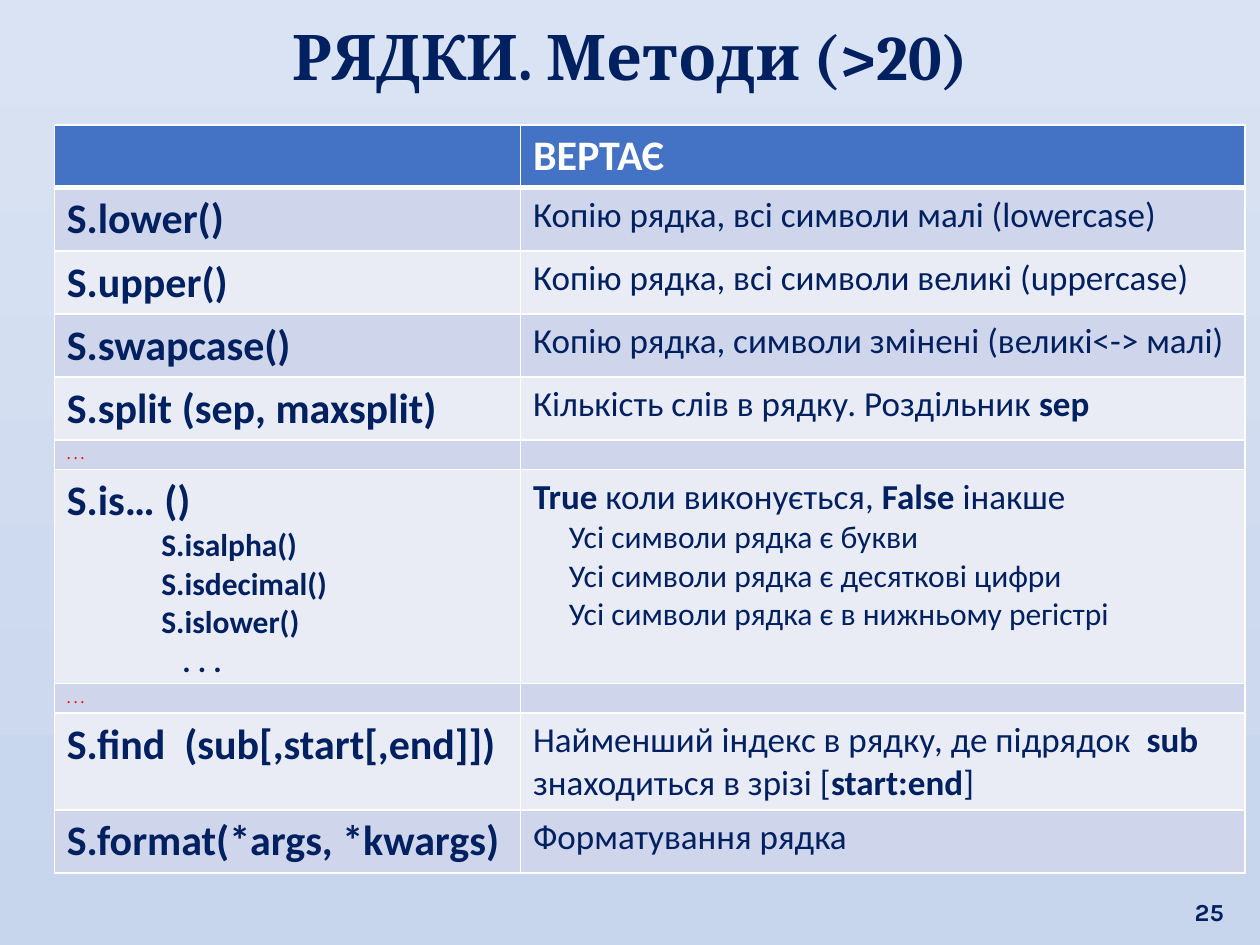
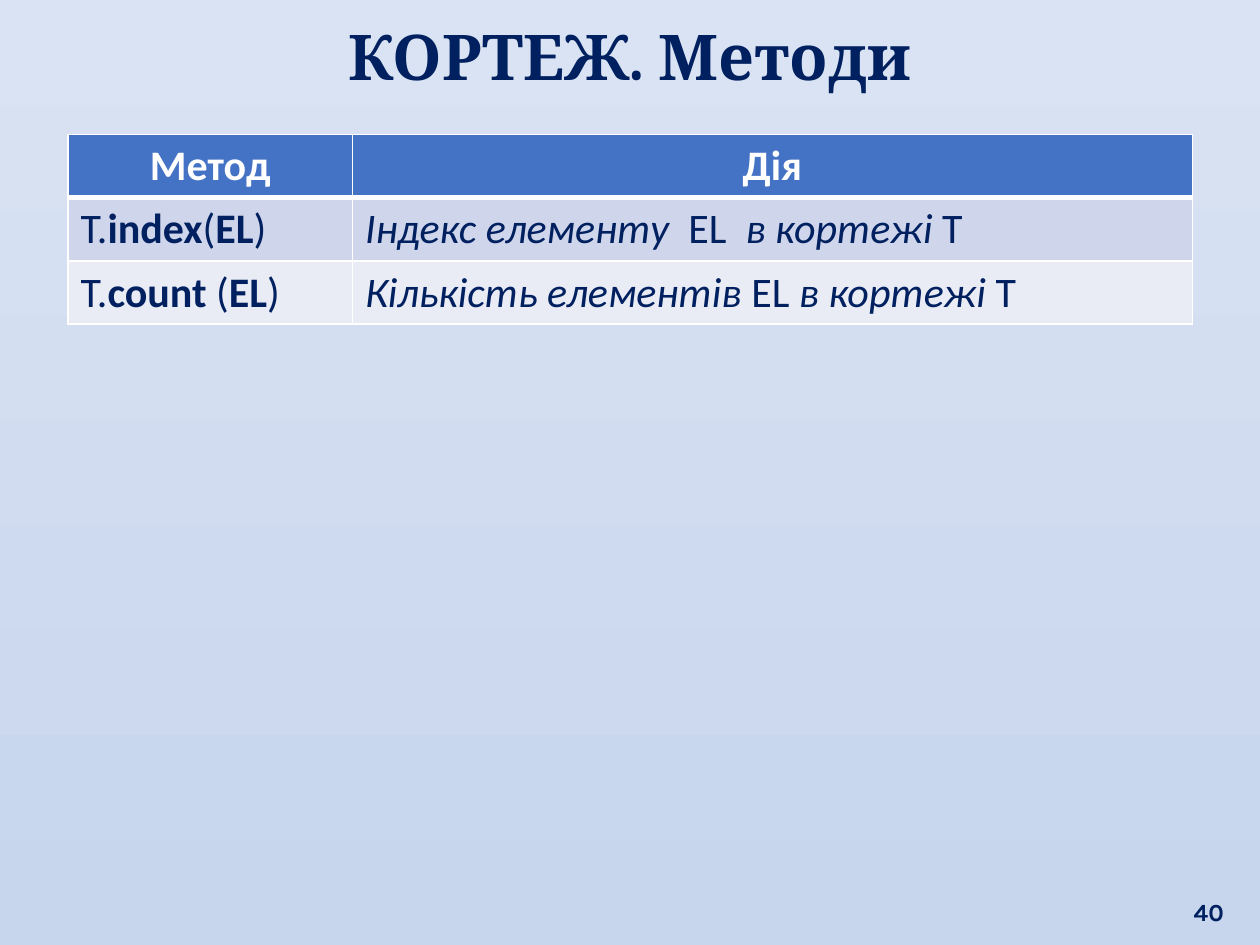
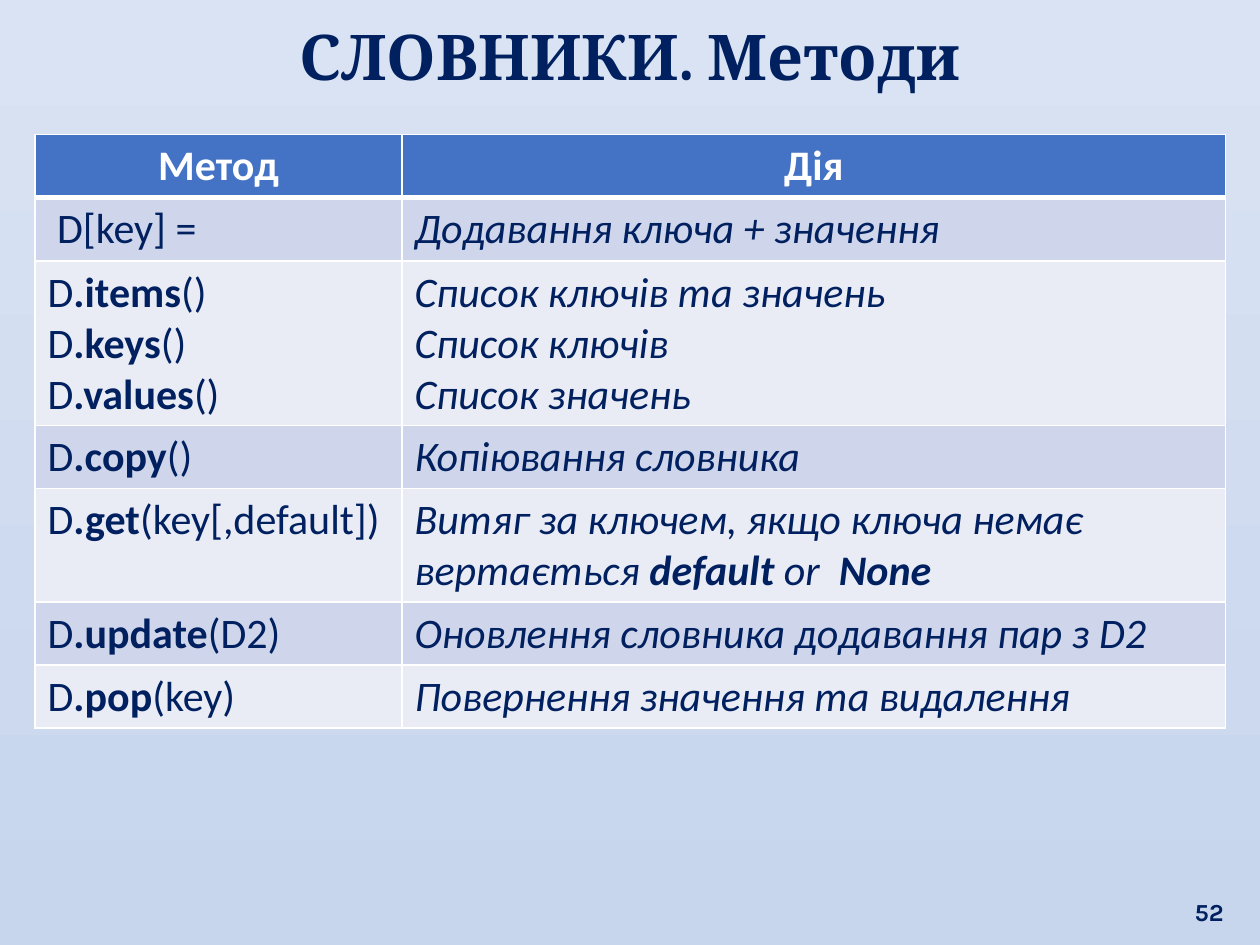
from dataclasses import dataclass
from itertools import zip_longest

from lxml.etree import SubElement
from pptx import Presentation
from pptx.dml.color import RGBColor
from pptx.enum.text import MSO_ANCHOR, MSO_AUTO_SIZE, PP_ALIGN
from pptx.oxml.ns import qn
from pptx.presentation import Presentation as PresentationType
from pptx.slide import Slide
from pptx.table import _Cell as Cell
from pptx.util import Pt

NAVY = RGBColor(0x00, 0x20, 0x60)
WHITE = RGBColor(0xFF, 0xFF, 0xFF)
RED = RGBColor(0xFF, 0x00, 0x00)
HEADER_BLUE = RGBColor(0x44, 0x72, 0xC4)
BAND_DARK = RGBColor(0xCF, 0xD5, 0xEA)
BAND_LIGHT = RGBColor(0xE9, 0xEB, 0xF5)
SKY_TOP = RGBColor(0xDA, 0xE3, 0xF3)
SKY_BOTTOM = RGBColor(0xC7, 0xD5, 0xED)

TITLE_FONT = "Cambria"
TABLE_FONT = "Calibri"
NUMBER_FONT = "Karla"
TITLE_ONLY_LAYOUT = 5
BORDER_SIDES = ("L", "R", "T", "B")


@dataclass(frozen=True)
class Line:
    """One paragraph; each "|" in the text switches the attribute named by `toggles`."""

    text: str
    size: float = 24
    bold: bool = False
    italic: bool = False
    toggles: str = "bold"
    color: RGBColor = NAVY
    indent: float = 0
    align: PP_ALIGN = PP_ALIGN.LEFT


@dataclass(frozen=True)
class Row:
    method: list[Line]
    action: list[Line]
    height: float = 36


@dataclass(frozen=True)
class MethodSlide:
    title: str
    number: int
    left: float
    top: float
    column_widths: tuple[float, float]
    rows: list[Row]


def header(text: str, align: PP_ALIGN = PP_ALIGN.CENTER) -> list[Line]:
    return [Line(text, bold=True, color=WHITE, align=align)]


def string_row(method: str, action: str, height: float = 36) -> Row:
    return Row([Line(method, bold=True)], [Line(action, 20)], height)


def plain_row(method: str, action: str, toggles: str = "bold", height: float = 36) -> Row:
    """Row with upright methods and italic actions, one paragraph per text line."""
    return Row(
        [Line(text) for text in method.split("\n")],
        [Line(text, italic=True, toggles=toggles) for text in action.split("\n")],
        height,
    )


OMITTED = Row([Line(". . .", 8, bold=True, color=RED)], [Line("", 8)], 16.5)
METHOD_HEADER = Row(header("Метод"), header("Дія"))

STRING_CHECKS = Row(
    [Line("S.is… ()", bold=True)]
    + [Line(text, 18, bold=True, indent=54)
       for text in ("S.isalpha()", "S.isdecimal()", "S.islower()")]
    + [Line(". . .", 18, bold=True, indent=66)],
    [Line("|True |коли виконується, |False| інакше", 20)]
    + [Line(f"Усі символи рядка є {kind}", 18, indent=20.5)
       for kind in ("букви", "десяткові цифри", "в нижньому регістрі")],
    122,
)

SLIDES = [
    MethodSlide("РЯДКИ. Методи (>20)", 25, 31, 71.3, (266.4, 414), [
        Row(header(""), header("ВЕРТАЄ", PP_ALIGN.LEFT)),
        string_row("S.lower()", "Копію рядка, всі символи малі (lowercase)"),
        string_row("S.upper()", "Копію рядка, всі символи великі (uppercase)"),
        string_row("S.swapcase()", "Копію рядка, символи змінені (великі<-> малі)"),
        string_row("S.split (sep, maxsplit)", "Кількість слів в рядку. Роздільник |sep"),
        OMITTED,
        STRING_CHECKS,
        OMITTED,
        string_row("S.find  (sub[,start[,end]])",
                   "Найменший індекс в рядку, де підрядок  |sub |"
                   "знаходиться в зрізі [|start:end|]", 55),
        string_row("S.format(*args, *kwargs)", "Форматування рядка"),
    ]),
    MethodSlide("КОРТЕЖ. Методи", 40, 38.9, 77, (162.5, 480), [
        METHOD_HEADER,
        plain_row("T.|index|(|EL|)", "Індекс елементу  |EL | в кортежі |T", "italic"),
        plain_row("T.|count |(|EL|)", "Кількість елементів |EL| в кортежі |T", "italic"),
    ]),
    MethodSlide("СЛОВНИКИ. Методи", 52, 20, 77, (209.7, 470.7), [
        METHOD_HEADER,
        plain_row(" D[key] =", "Додавання ключа + значення"),
        plain_row("D|.items|()\nD|.keys|()\nD|.values|()",
                  "Список ключів та значень\nСписок ключів\nСписок значень", height=94),
        plain_row("D|.copy|()", "Копіювання словника"),
        plain_row("D|.get|(key[,default])",
                  "Витяг за ключем, якщо ключа немає вертається |default| or  |None", height=65),
        plain_row("D|.update|(D2)", "Оновлення словника додавання пар з D2"),
        plain_row("D|.pop|(key)", "Повернення значення та видалення"),
    ]),
]


def paint_background(presentation: PresentationType) -> None:
    fill = presentation.slide_master.background.fill
    fill.gradient()
    fill.gradient_angle = 270
    for stop, color in zip(fill.gradient_stops, (SKY_TOP, SKY_BOTTOM)):
        stop.color.rgb = color


def add_title(slide: Slide, text: str) -> None:
    title = slide.shapes.title
    title.left, title.top, title.width, title.height = Pt(8.6), Pt(5.8), Pt(702.8), Pt(51)
    frame = title.text_frame
    frame.text = text
    frame.auto_size = MSO_AUTO_SIZE.SHAPE_TO_FIT_TEXT
    style_label(frame.paragraphs[0], TITLE_FONT, 36, PP_ALIGN.CENTER)


def add_slide_number(slide: Slide, number: int) -> None:
    frame = slide.shapes.add_textbox(Pt(671.8), Pt(496.8), Pt(34.6), Pt(36)).text_frame
    frame.word_wrap = True
    frame.vertical_anchor = MSO_ANCHOR.BOTTOM
    frame.text = str(number)
    style_label(frame.paragraphs[0], NUMBER_FONT, 14, PP_ALIGN.RIGHT)


def style_label(paragraph, font_name: str, size: float, align: PP_ALIGN) -> None:
    paragraph.alignment = align
    font = paragraph.font
    font.name, font.size, font.bold = font_name, Pt(size), True
    font.color.rgb = NAVY


def write_line(paragraph, line: Line) -> None:
    paragraph.alignment = line.align
    font = paragraph.font
    font.name, font.size = TABLE_FONT, Pt(line.size)
    font.bold, font.italic = line.bold, line.italic
    font.color.rgb = line.color
    if line.indent:
        paragraph._p.get_or_add_pPr().set("marL", str(Pt(line.indent)))
    for index, piece in enumerate(line.text.split("|")):
        if piece:
            run = paragraph.add_run()
            run.text = piece
            if index % 2:
                setattr(run.font, line.toggles, not getattr(line, line.toggles))
    if not line.text:
        SubElement(paragraph._p, qn("a:endParaRPr"), sz=str(int(line.size * 100)))


def set_borders(cell: Cell, bottom_width: float) -> None:
    properties = cell._tc.get_or_add_tcPr()
    for position, side in enumerate(BORDER_SIDES):
        width = bottom_width if side == "B" else 1
        border = SubElement(properties, qn(f"a:ln{side}"), w=str(Pt(width)))
        SubElement(SubElement(border, qn("a:solidFill")), qn("a:srgbClr"), val=str(WHITE))
        properties.insert(position, border)


def fill_cell(cell: Cell, lines: list[Line], color: RGBColor, bottom_width: float) -> None:
    cell.fill.solid()
    cell.fill.fore_color.rgb = color
    set_borders(cell, bottom_width)
    frame = cell.text_frame
    for line, paragraph in zip_longest(lines, frame.paragraphs):
        write_line(paragraph or frame.add_paragraph(), line)


def add_method_table(slide: Slide, content: MethodSlide) -> None:
    table = slide.shapes.add_table(
        len(content.rows), len(content.column_widths),
        Pt(content.left), Pt(content.top),
        Pt(sum(content.column_widths)), Pt(sum(row.height for row in content.rows)),
    ).table
    for column, width in zip(table.columns, content.column_widths):
        column.width = Pt(width)
    for index, row in enumerate(content.rows):
        table.rows[index].height = Pt(row.height)
        band = BAND_DARK if index % 2 else BAND_LIGHT
        color, bottom_width = (band, 1) if index else (HEADER_BLUE, 3)
        for cell, lines in zip(table.rows[index].cells, (row.method, row.action)):
            fill_cell(cell, lines, color, bottom_width)


def main() -> None:
    presentation = Presentation()
    presentation.slide_width, presentation.slide_height = Pt(720), Pt(540)
    paint_background(presentation)
    for content in SLIDES:
        slide = presentation.slides.add_slide(presentation.slide_layouts[TITLE_ONLY_LAYOUT])
        add_title(slide, content.title)
        add_slide_number(slide, content.number)
        add_method_table(slide, content)
    presentation.save("out.pptx")


if __name__ == "__main__":
    main()
